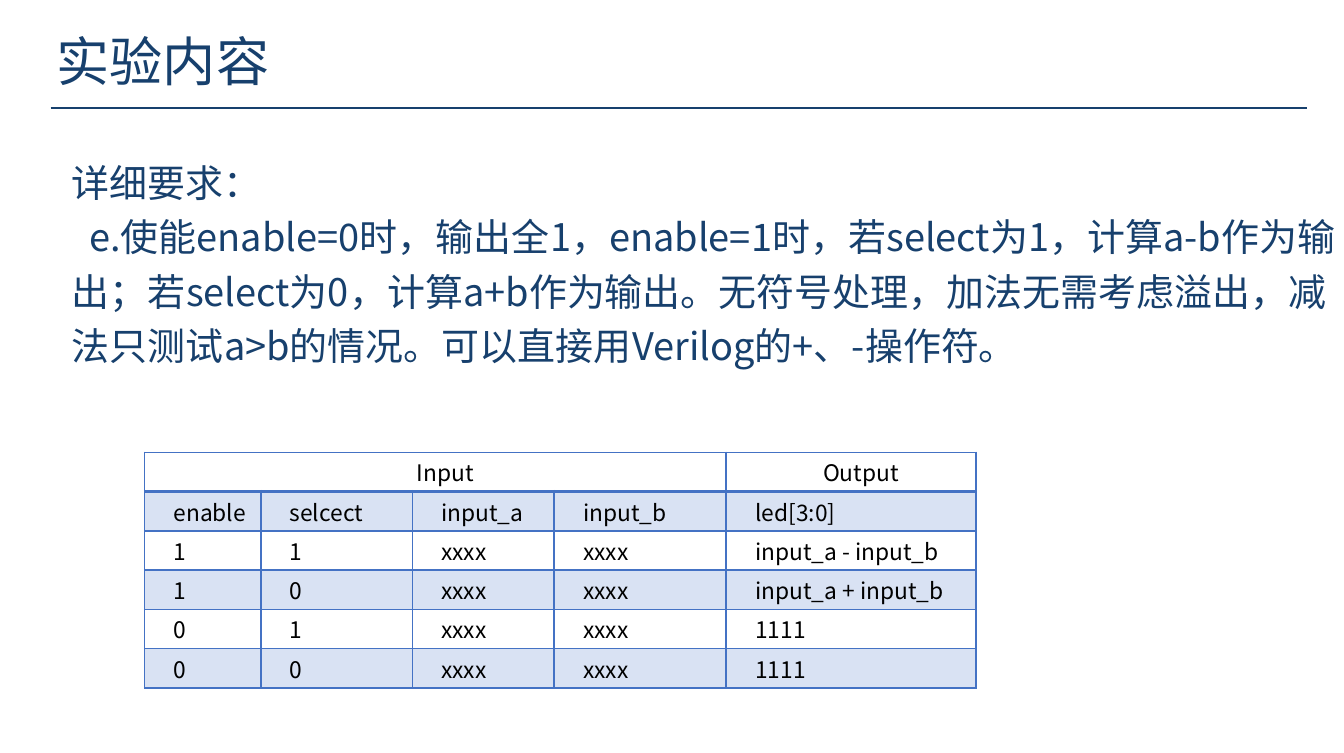
import dataclasses

import lxml.etree
import pptx
import pptx.dml.color
import pptx.enum.shapes
import pptx.enum.text
import pptx.oxml.ns
import pptx.util

Cm = pptx.util.Cm
Pt = pptx.util.Pt
RGBColor = pptx.dml.color.RGBColor
Align = pptx.enum.text.PP_ALIGN

NAVY = RGBColor(0x17, 0x40, 0x6D)
BLUE = RGBColor(0x44, 0x72, 0xC4)
BLACK = RGBColor(0, 0, 0)
FONT = "Noto Sans CJK SC"

WIDTHS = (2.16, 2.82, 2.64, 3.2, 4.65)
ROW = 0.73
ROWS = (
    ("Input", "", "", "", "Output"),
    ("enable", "selcect", "input_a", "input_b", "led[3:0]"),
    ("1", "1", "xxxx", "xxxx", "input_a - input_b"),
    ("1", "0", "xxxx", "xxxx", "input_a + input_b"),
    ("0", "1", "xxxx", "xxxx", "1111"),
    ("0", "0", "xxxx", "xxxx", "1111"),
)


@dataclasses.dataclass(frozen=True)
class Para:
    text: str
    size: float
    space: float = 1.0
    indent: float = 0
    color: RGBColor = NAVY
    align: Align = Align.LEFT


@dataclasses.dataclass(frozen=True)
class Box:
    left: float
    top: float
    width: float
    height: float
    paras: tuple[Para, ...]


BOXES = (
    Box(0.81, 0.41, 5.89, 1.45, (Para("实验内容", 28),)),
    Box(1.09, 2.41, 24.23, 4.62, (
        Para("详细要求：", 20, 1.5),
        Para("e.使能enable=0时，输出全1，enable=1时，若select为1，计算a-b作为输出；"
             "若select为0，计算a+b作为输出。无符号处理，加法无需考虑溢出，"
             "减法只测试a>b的情况。可以直接用Verilog的+、-操作符。", 20, 1.2, 0.32),
    )),
)


def assign(item: object, values: dict) -> None:
    for name, value in values.items():
        setattr(item, name, value)


def add_node(parent, tag: str, **attrs: str):
    return lxml.etree.SubElement(parent, pptx.oxml.ns.qn(tag), attrs)


def write(line, para: Para) -> None:
    assign(line, {"alignment": para.align, "line_spacing": para.space})
    props = line._p.get_or_add_pPr()
    props.set("marL", "0")
    props.set("indent", str(Cm(para.indent)))
    run = line.add_run()
    run.text = para.text
    assign(run.font, {"size": Pt(para.size), "name": FONT, "bold": False})
    run.font.color.rgb = para.color
    add_node(run.font._element, "a:ea", typeface=FONT)


def add_box(slide, box: Box) -> None:
    shape = slide.shapes.add_textbox(
        Cm(box.left), Cm(box.top), Cm(box.width), Cm(box.height))
    frame = shape.text_frame
    assign(frame, {"word_wrap": True,
                   "auto_size": pptx.enum.text.MSO_AUTO_SIZE.SHAPE_TO_FIT_TEXT})
    for index, para in enumerate(box.paras):
        write(frame.add_paragraph() if index else frame.paragraphs[0], para)


def add_rule(slide) -> None:
    rule = slide.shapes.add_connector(
        pptx.enum.shapes.MSO_CONNECTOR.STRAIGHT,
        Cm(0.94), Cm(2), Cm(24.31), Cm(2))
    rule.line.color.rgb = NAVY
    rule.line.width = Pt(1)
    add_node(rule._element.spPr, "a:effectLst")


def add_edge(cell, side: str, width: float) -> None:
    edge = add_node(cell._tc.get_or_add_tcPr(), f"a:ln{side}", w=str(Pt(width)))
    add_node(add_node(edge, "a:solidFill"), "a:srgbClr", val=str(BLUE))


def style(cell, row: int) -> None:
    assign(cell, {"margin_left": Cm(0.18), "margin_right": Cm(0.18),
                  "margin_top": 0, "margin_bottom": 0,
                  "vertical_anchor": pptx.enum.text.MSO_ANCHOR.MIDDLE})
    for side in "LRTB":
        heavy = (row, side) in ((0, "B"), (1, "T"))
        add_edge(cell, side, 2 if heavy else 1)
    if row % 2:
        cell.fill.solid()
        cell.fill.fore_color.rgb = BLUE
        tint = cell._tc.tcPr.find("a:solidFill/a:srgbClr", cell._tc.nsmap)
        add_node(tint, "a:alpha", val="20000")
    else:
        cell.fill.background()


def add_grid(slide) -> None:
    grid = slide.shapes.add_table(
        len(ROWS), len(WIDTHS), Cm(2.69), Cm(8.41),
        Cm(sum(WIDTHS)), Cm(ROW * len(ROWS))).table
    assign(grid, {"first_row": False, "horz_banding": False})
    for column, width in zip(grid.columns, WIDTHS):
        column.width = Cm(width)
    for row, texts in enumerate(ROWS):
        grid.rows[row].height = Cm(ROW)
        align = Align.LEFT if row else Align.CENTER
        for col, text in enumerate(texts):
            cell = grid.cell(row, col)
            style(cell, row)
            if text:
                write(cell.text_frame.paragraphs[0],
                      Para(text, 12, indent=0.36, color=BLACK, align=align))
    grid.cell(0, 0).merge(grid.cell(0, 3))


def main() -> None:
    deck = pptx.Presentation()
    assign(deck, {"slide_width": Cm(25), "slide_height": Cm(14)})
    slide = deck.slides.add_slide(deck.slide_layouts[6])
    add_rule(slide)
    add_grid(slide)
    for box in BOXES:
        add_box(slide, box)
    deck.save("out.pptx")


if __name__ == "__main__":
    main()
